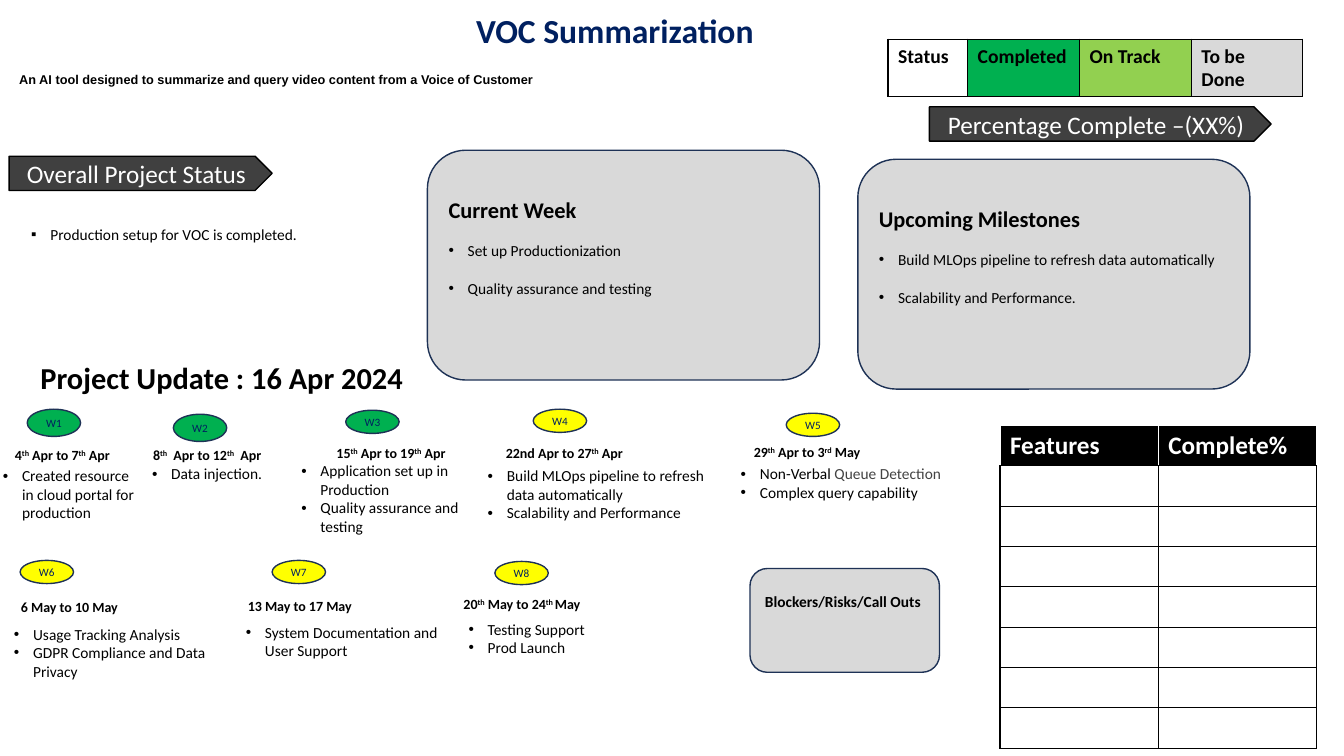
"""Builds the weekly project status slide."""
from lxml import etree
from pptx import Presentation
from pptx import util as u
from pptx.dml.color import RGBColor
from pptx.enum import shapes, text
from pptx.oxml import ns

CELL = u.Inches(0.1)
COLUMNS, ROWS = 133.33, 75
BLACK = RGBColor(0x00, 0x00, 0x00)
WHITE = RGBColor(0xFF, 0xFF, 0xFF)
NAVY = RGBColor(0x00, 0x20, 0x60)
OUTLINE = RGBColor(0x1E, 0x32, 0x56)
CHARCOAL = RGBColor(0x40, 0x40, 0x40)
SLATE = RGBColor(0x43, 0x43, 0x43)
SILVER = RGBColor(0xD9, 0xD9, 0xD9)
GREEN = RGBColor(0x00, 0xB0, 0x50)
LIME = RGBColor(0x92, 0xD0, 0x50)
YELLOW = RGBColor(0xFF, 0xFF, 0x00)
MARK = "^"

WEEKS = [
    ("W1", GREEN, (2.7, 40.6, 2.7), (0.5, 43.8), "4^th^ Apr to 7^th^ Apr",
     (-0.7, 45.8, 15.5, 6.6), ["Created resource in cloud portal for production"]),
    ("W2", GREEN, (17.2, 41.1, 2.7), (14.2, 43.8), "8^th^  Apr to 12^th^  Apr",
     (14.1, 45.6, 15.2, 2.9), ["Data injection."]),
    ("W3", GREEN, (34.3, 40.7, 2.3), (32.4, 43.6), "15^th^ Apr to 19^th^ Apr",
     (28.9, 45.3, 21.8, 10.3),
     ["Application set up in Production", "Quality assurance and testing"]),
    ("W4", YELLOW, (52.9, 40.6, 2.3), (49.2, 43.6), "22nd Apr to 27^th^ Apr",
     (47.4, 45.8, 23.7, 8.4),
     ["Build MLOps pipeline to refresh data automatically",
      "Scalability and Performance"]),
    ("W5", YELLOW, (78, 41, 2.3), (73.8, 43.5), "29^th^ Apr to 3^rd^ May",
     (72.5, 45.6, 23.7, 10.3),
     ["Non-Verbal^ Queue Detection^", "Complex query capability"]),
    ("W6", YELLOW, (2, 55.6, 2.3), (1.1, 58.9), "6 May to 10 May",
     (0.4, 61.5, 23.6, 10.3),
     ["Usage Tracking Analysis", "GDPR Compliance and Data Privacy"]),
    ("W7", YELLOW, (27, 55.6, 2.3), (23.6, 58.8), "13 May to 17 May",
     (23.4, 61.3, 23.6, 4.7), ["System Documentation and User Support"]),
    ("W8", YELLOW, (49.1, 55.7, 2.3), (45, 58.6), "20^th^ May to 24^th ^May",
     (45.5, 61, 14.4, 4.7), ["Testing Support", "Prod Launch"]),
]


def grid(*cells):
    """Turn columns and rows of the grid into lengths."""
    return [u.Emu(round(cell * CELL)) for cell in cells]


def format_runs(paragraph, size, color=BLACK, bold=False, font="Calibri"):
    """Give all runs of a paragraph one font."""
    for run in paragraph.runs:
        run.font.size = u.Pt(size)
        run.font.color.rgb = color
        run.font.bold = bold
        run.font.name = font


def write_marked(paragraph, content):
    """Write text as runs and return the runs between marks."""
    runs = []
    for piece in content.split(MARK):
        runs.append(paragraph.add_run())
        runs[-1].text = piece
    return runs[1::2]


def add_bullet(paragraph, character="•"):
    """Give a paragraph a hanging bullet."""
    properties = paragraph._p.get_or_add_pPr()
    indent = u.Inches(0.19)
    properties.set("marL", str(indent))
    properties.set("indent", str(-indent))
    etree.SubElement(properties, ns.qn("a:buFont"), typeface="Arial")
    etree.SubElement(properties, ns.qn("a:buChar"), char=character)


def place(shape, cells):
    """Move and size a shape on the grid."""
    shape.left, shape.top, shape.width, shape.height = grid(*cells)


def fill_heading(placeholder, cells, content, size, spacing, alignment,
                 color=BLACK, font="Calibri"):
    """Fill a placeholder with one bold line that sits on its lower edge."""
    place(placeholder, cells)
    frame = placeholder.text_frame
    frame.text = content
    frame.auto_size = text.MSO_AUTO_SIZE.NONE
    frame.vertical_anchor = text.MSO_ANCHOR.BOTTOM
    paragraph = frame.paragraphs[0]
    paragraph.alignment = alignment
    paragraph.line_spacing = spacing
    paragraph.space_before = u.Pt(0)
    format_runs(paragraph, size, color, True, font)


def fill_status(placeholder, cells, content):
    """Fill the body placeholder with the overall status."""
    place(placeholder, cells)
    frame = placeholder.text_frame
    frame.text = content
    frame.auto_size = text.MSO_AUTO_SIZE.NONE
    paragraph = frame.paragraphs[0]
    paragraph.space_before = u.Pt(0)
    add_bullet(paragraph, "▪")
    format_runs(paragraph, 11)


def add_text(slide, cells):
    """Add a wrapping text box and return its frame."""
    frame = slide.shapes.add_textbox(*grid(*cells)).text_frame
    frame.word_wrap = True
    frame.auto_size = text.MSO_AUTO_SIZE.SHAPE_TO_FIT_TEXT
    return frame


def add_block(slide, kind, cells, fill, line, content, size, color,
              bold=False, alignment=text.PP_ALIGN.CENTER):
    """Add a filled, outlined shape with one line of text."""
    shape = slide.shapes.add_shape(kind, *grid(*cells))
    shape.shadow.inherit = False
    shape.fill.solid()
    shape.fill.fore_color.rgb = fill
    shape.line.color.rgb = line
    shape.line.width = u.Pt(1)
    frame = shape.text_frame
    frame.text = content
    frame.vertical_anchor = text.MSO_ANCHOR.MIDDLE
    frame.paragraphs[0].alignment = alignment
    format_runs(frame.paragraphs[0], size, color, bold)
    return frame


def add_banner(slide, cells, content):
    """Add a dark pentagon label."""
    add_block(slide, shapes.MSO_SHAPE.PENTAGON, cells, CHARCOAL, BLACK,
              content, 18, WHITE)


def add_card(slide, cells, heading, size, items=()):
    """Add a rounded card with a heading and spaced bullets."""
    frame = add_block(slide, shapes.MSO_SHAPE.ROUNDED_RECTANGLE, cells, SILVER,
                      OUTLINE, heading, size, BLACK, True, text.PP_ALIGN.LEFT)
    frame.margin_bottom = u.Inches(0.42)
    for item in items:
        paragraph = frame.add_paragraph()
        paragraph.text = item
        paragraph.alignment = text.PP_ALIGN.LEFT
        paragraph.space_before = u.Pt(13.4)
        add_bullet(paragraph)
        format_runs(paragraph, 11)


def add_week(slide, name, color, badge, date_at, date, list_at, items):
    """Add the badge, the dates and the tasks of one week."""
    left, top, height = badge
    frame = add_block(slide, shapes.MSO_SHAPE.FLOWCHART_CONNECTOR,
                      (left, top, 5.3, height), color, OUTLINE, name, 8, NAVY)
    frame.word_wrap = False
    paragraph = add_text(slide, (*date_at, 15, 2.7)).paragraphs[0]
    ordinals = write_marked(paragraph, date)
    format_runs(paragraph, 10, bold=True)
    for run in ordinals:
        run.font._element.set("baseline", "30000")
    frame = add_text(slide, list_at)
    for index, item in enumerate(items):
        paragraph = frame.add_paragraph() if index else frame.paragraphs[0]
        muted = write_marked(paragraph, item)
        add_bullet(paragraph)
        format_runs(paragraph, 11)
        for run in muted:
            run.font.color.rgb = SLATE


def style_cell(cell, fill, borders):
    """Fill a cell and draw its left, right, top and bottom borders."""
    properties = cell._tc.get_or_add_tcPr()
    for side, color in zip("LRTB", borders):
        line = etree.SubElement(properties, ns.qn(f"a:ln{side}"), w=str(u.Pt(1)))
        solid = etree.SubElement(line, ns.qn("a:solidFill"))
        etree.SubElement(solid, ns.qn("a:srgbClr"), val=str(color))
    cell.fill.solid()
    cell.fill.fore_color.rgb = fill


def add_grid_table(slide, cells, widths, rows, labels, fills, size, color, edge):
    """Add a table with a labelled first row and empty rows below."""
    table = slide.shapes.add_table(rows, len(widths), *grid(*cells)).table
    table.first_row = table.horz_banding = False
    for column, width in zip(table.columns, grid(*widths)):
        column.width = width
    for row in range(rows):
        for column, label in enumerate(labels):
            cell = table.cell(row, column)
            if row:
                style_cell(cell, WHITE, [BLACK] * 4)
                continue
            style_cell(cell, fills[column], [edge, edge, edge, BLACK])
            cell.text_frame.text = label
            format_runs(cell.text_frame.paragraphs[0], size, color, True)


def main():
    """Build and save the slide."""
    presentation = Presentation()
    presentation.slide_width, presentation.slide_height = grid(COLUMNS, ROWS)
    slide = presentation.slides.add_slide(presentation.slide_layouts[4])
    title, subtitle, status, update, spare = slide.placeholders
    spare.element.getparent().remove(spare.element)
    fill_heading(title, (24.1, -5.9, 73.8, 11.4), "VOC Summarization", 24, 0.9,
                 text.PP_ALIGN.CENTER, NAVY)
    fill_heading(subtitle, (0.9, 6, 61.9, 3.1),
                 "An AI tool designed to summarize and query video content "
                 "from a Voice of Customer", 9.1, 0.7, text.PP_ALIGN.LEFT, font="Arial")
    fill_heading(update, (-5.7, 35.7, 55.4, 3.9), "Project Update : 16 Apr 2024",
                 21.7, 0.7, text.PP_ALIGN.CENTER)
    fill_status(status, (2.1, 21.8, 41.8, 2.8), "Production setup for VOC is completed.")
    add_banner(slide, (0.9, 15.5, 26.1, 3.4), "Overall Project Status")
    add_banner(slide, (92.2, 10.6, 33.9, 3.4), "Percentage Complete –(XX%)")
    add_card(slide, (42.4, 14.9, 38.9, 22.8), "Current Week", 16,
             ["Set up Productionization", "Quality assurance and testing"])
    add_card(slide, (85.1, 15.8, 38.9, 22.8), "Upcoming Milestones", 16,
             ["Build MLOps pipeline to refresh data automatically",
              "Scalability and Performance."])
    add_card(slide, (74.4, 56.4, 18.8, 10.3), "Blockers/Risks/Call Outs", 11)
    for week in WEEKS:
        add_week(slide, *week)
    add_grid_table(slide, (88.1, 3.9, 41.1, 5.7), [7.9, 11.1, 11.1, 11], 1,
                   ["Status", "Completed", "On Track", "To be Done"],
                   [WHITE, GREEN, LIME, SILVER], 14, BLACK, BLACK)
    add_grid_table(slide, (99.2, 42.2, 31.4, 32), [15.7, 15.7], 8,
                   ["Features", "Complete%"], [BLACK] * 2, 18, WHITE, WHITE)
    presentation.save("out.pptx")


if __name__ == "__main__":
    main()
